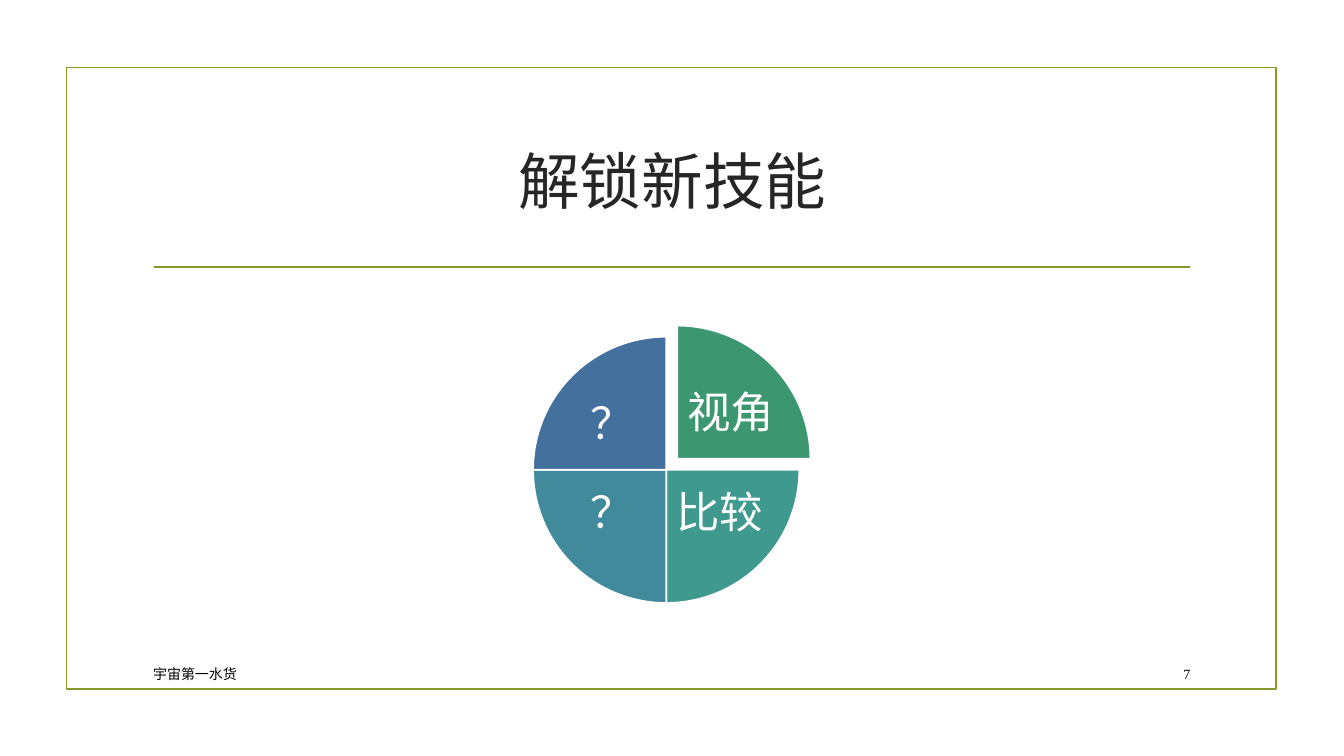
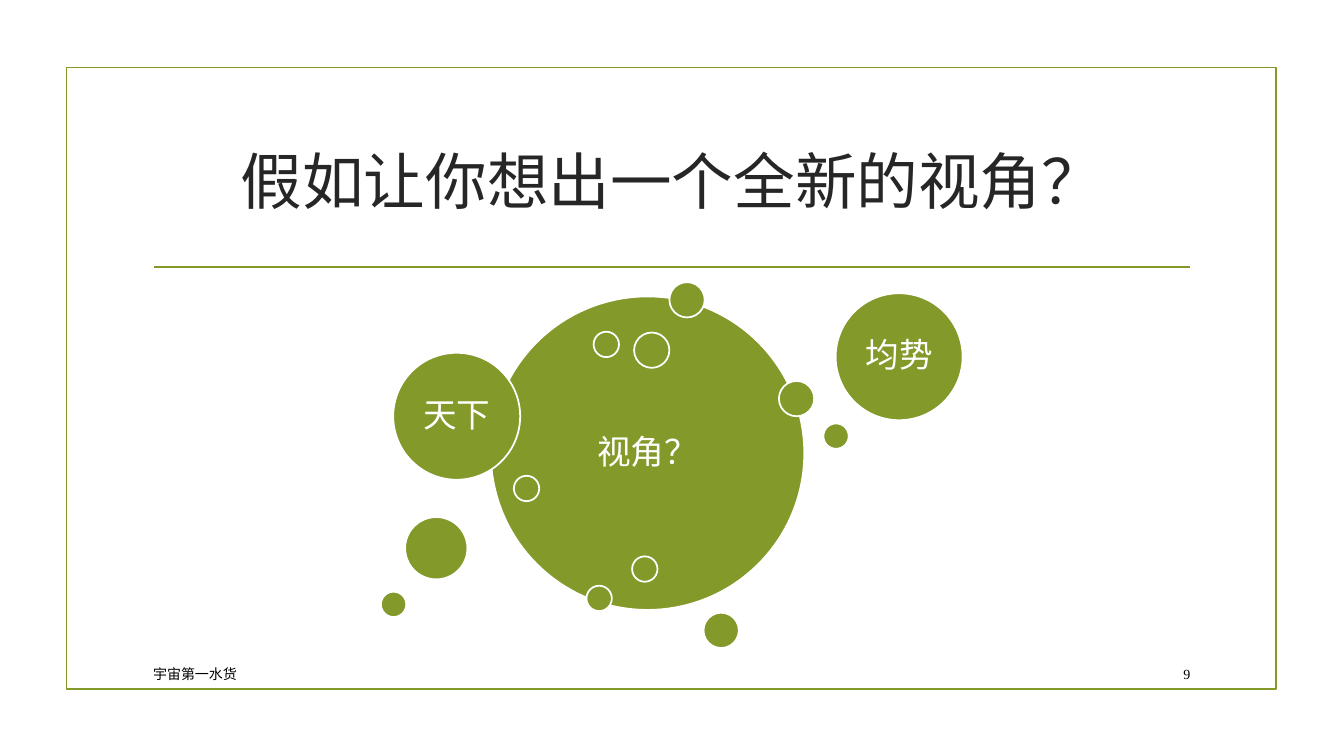
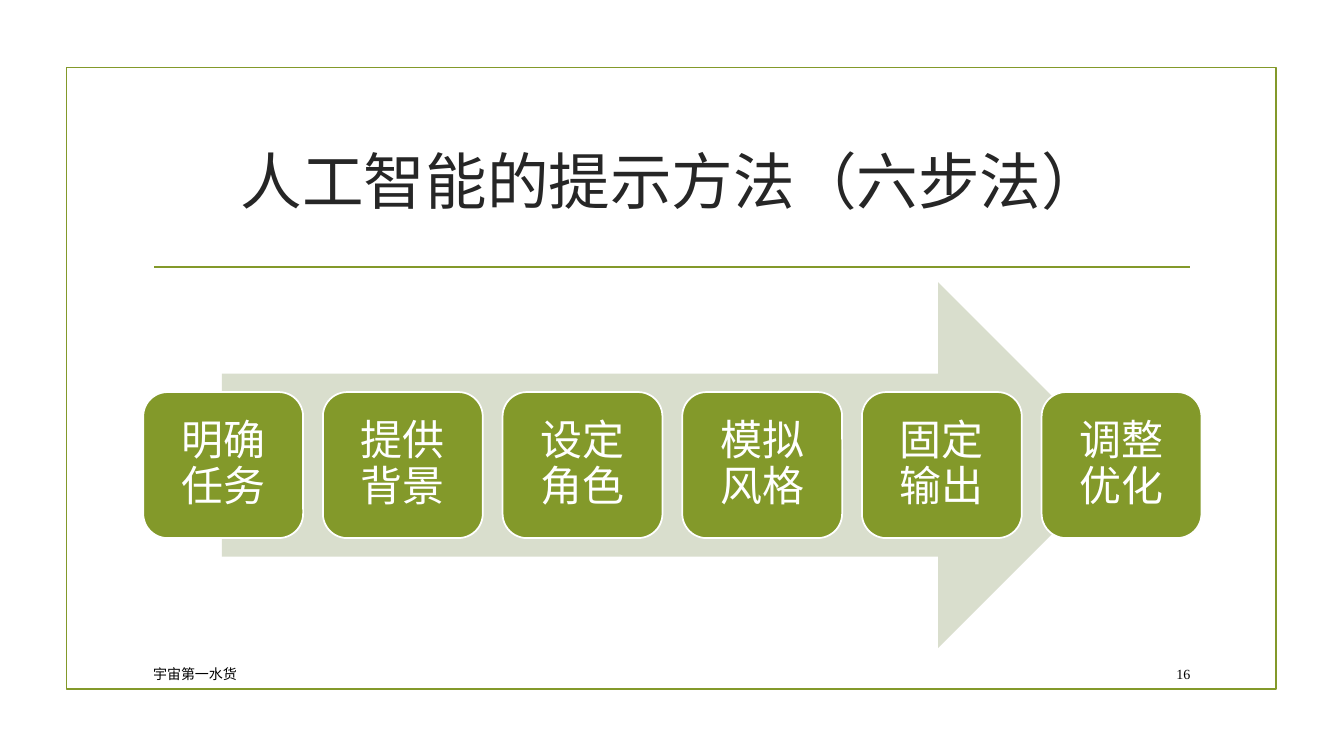
from lxml import etree
from pptx import Presentation
from pptx.dml.color import RGBColor
from pptx.enum.lang import MSO_LANGUAGE_ID
from pptx.enum.shapes import MSO_CONNECTOR, MSO_SHAPE
from pptx.enum.text import MSO_ANCHOR, MSO_AUTO_SIZE, PP_ALIGN
from pptx.oxml.ns import qn
from pptx.util import Cm, Pt

LEFT, CENTER, RIGHT = PP_ALIGN.LEFT, PP_ALIGN.CENTER, PP_ALIGN.RIGHT
MIDDLE, NO_FIT = MSO_ANCHOR.MIDDLE, MSO_AUTO_SIZE.NONE
RECT, ROUNDED, ELLIPSE = MSO_SHAPE.RECTANGLE, MSO_SHAPE.ROUNDED_RECTANGLE, MSO_SHAPE.OVAL
PIE, ARROW = MSO_SHAPE.PIE, MSO_SHAPE.RIGHT_ARROW
STRAIGHT = MSO_CONNECTOR.STRAIGHT
CHINESE = MSO_LANGUAGE_ID.SIMPLIFIED_CHINESE

FONT = "Times New Roman"
OLIVE, PALE, WHITE, DARK, BLACK = "83992A", "D9DECD", "FFFFFF", "262626", "000000"
LINE_WIDTH = 1.25

FRAME = (1.68, 1.7, 30.48, 15.67)
RULE = (3.89, 6.73, 30, 6.73)
TITLE = (3.61, 2.72, 26.67, 3.63)
FOOTER = (3.61, 16.59, 20.29, 0.79)
PAGE = (28.75, 16.59, 1.5, 0.79)
FOOTER_TEXT = "宇宙第一水货"

PIE_CENTER = (16.79, 11.84)
PIE_SIZE = 6.71
QUARTER, FULL_TURN = 54, 216
LABEL_SIZE = (2.46, 2.01)
LABEL_OFFSET = (1.35, 1.12)
SLICES = [
    ("视角", "3C9770", 162, 1, -1, 0.28),
    ("比较", "3F998E", 0, 1, 1, 0),
    ("？", "418A9B", 54, -1, 1, 0),
    ("？", "44709D", 108, -1, -1, 0),
]

TINY, SMALL, MEDIUM, LARGE, HUGE = 0.64, 0.89, 1.57, 3.2, 7.9
BUBBLES = [
    (12.37, 7.47, HUGE, "视角？"),
    (16.87, 7.11, SMALL, ""),
    (14.78, 14.76, TINY, ""),
    (20.75, 10.67, TINY, ""),
    (17.73, 15.44, SMALL, ""),
    (14.96, 8.36, TINY, ""),
    (12.95, 11.99, TINY, ""),
    (9.91, 8.89, LARGE, "天下"),
    (15.98, 8.38, SMALL, ""),
    (10.21, 13.03, MEDIUM, ""),
    (21.06, 7.39, LARGE, "均势"),
    (19.63, 9.6, SMALL, ""),
    (9.6, 14.91, TINY, ""),
    (15.93, 14.02, TINY, ""),
]

STEPS = ["明确任务", "提供背景", "设定角色", "模拟风格", "固定输出", "调整优化"]
STEP_TOP, STEP_WIDTH, STEP_HEIGHT = 9.88, 4.03, 3.68
STEP_ARROW = (5.59, 7.11, 22.66, 9.22)


def color(value):
    return RGBColor.from_string(value)


def assign(target, values):
    for key, value in values.items():
        setattr(target, key, value)


def write(holder, text, size, ink, align=CENTER, spacing=1.0, inset=None):
    frame = holder.text_frame
    frame.text = text
    assign(frame, {"word_wrap": True, "auto_size": NO_FIT, "vertical_anchor": MIDDLE})
    if inset is not None:
        sides = ("left", "top", "right", "bottom")
        assign(frame, {f"margin_{side}": Cm(inset) for side in sides})
    paragraph = frame.paragraphs[0]
    assign(paragraph, {"alignment": align, "line_spacing": spacing})
    font = paragraph.runs[0].font
    assign(font, {"name": FONT, "size": Pt(size), "language_id": CHINESE})
    font.color.rgb = color(ink)


def add_outline(part, ink):
    part.line.color.rgb = color(ink)
    part.line.width = Pt(LINE_WIDTH)


def add_part(slide, preset, box, fill=None, outline=WHITE):
    part = slide.shapes.add_shape(preset, *map(Cm, box))
    part.shadow.inherit = False
    if fill:
        part.fill.solid()
        part.fill.fore_color.rgb = color(fill)
    else:
        part.fill.background()
    if outline:
        add_outline(part, outline)
    else:
        part.line.fill.background()
    return part


def add_label(slide, box, text, size, ink, **style):
    write(slide.shapes.add_textbox(*map(Cm, box)), text, size, ink, **style)


def decorate_layout(layout, slide):
    for placeholder in list(layout.placeholders):
        if placeholder.placeholder_format.idx:
            layout.shapes.element.remove(placeholder.element)
    border = add_part(slide, RECT, FRAME, outline=OLIVE)
    rule = slide.shapes.add_connector(STRAIGHT, *map(Cm, RULE))
    add_outline(rule, OLIVE)
    etree.SubElement(rule.element.spPr, qn("a:effectLst"))
    for part in (border, rule):
        layout.shapes.element.append(part.element)


def draw_pie(slide):
    for text, fill, start, side_x, side_y, shift in SLICES:
        x, y = PIE_CENTER[0] + side_x * shift, PIE_CENTER[1] + side_y * shift
        box = (x - PIE_SIZE / 2, y - PIE_SIZE / 2, PIE_SIZE, PIE_SIZE)
        wedge = add_part(slide, PIE, box, fill)
        wedge.adjustments[0] = start
        wedge.adjustments[1] = (start + QUARTER) % FULL_TURN
        width, height = LABEL_SIZE
        left = x + side_x * LABEL_OFFSET[0] - width / 2
        top = y + side_y * LABEL_OFFSET[1] - height / 2
        add_label(slide, (left, top, width, height), text, 31, WHITE, spacing=0.9, inset=0.1)


def draw_bubbles(slide):
    for left, top, size, text in BUBBLES:
        bubble = add_part(slide, ELLIPSE, (left, top, size, size), OLIVE)
        if text:
            write(bubble, text, 24, WHITE, spacing=0.9, inset=0.25)


def draw_steps(slide):
    add_part(slide, ARROW, STEP_ARROW, PALE, outline=None)
    left, _, span, _ = TITLE
    pitch = (span - STEP_WIDTH) / (len(STEPS) - 1)
    for index, text in enumerate(STEPS):
        box = (left + index * pitch, STEP_TOP, STEP_WIDTH, STEP_HEIGHT)
        write(add_part(slide, ROUNDED, box, OLIVE), text, 30, WHITE, spacing=0.9, inset=0.3)


SLIDES = [
    ("解锁新技能", "7", draw_pie),
    ("假如让你想出一个全新的视角？", "9", draw_bubbles),
    ("人工智能的提示方法（六步法）", "16", draw_steps),
]


def main():
    deck = Presentation()
    assign(deck, {"slide_width": Cm(33.87), "slide_height": Cm(19.05)})
    layout = deck.slide_layouts[5]
    for index, (heading, page, draw) in enumerate(SLIDES):
        slide = deck.slides.add_slide(layout)
        if index == 0:
            decorate_layout(layout, slide)
        title = slide.shapes.title
        assign(title, dict(zip(("left", "top", "width", "height"), map(Cm, TITLE))))
        write(title, heading, 44, DARK)
        draw(slide)
        add_label(slide, FOOTER, FOOTER_TEXT, 10, BLACK, align=LEFT)
        add_label(slide, PAGE, page, 10, BLACK, align=RIGHT)
    deck.save("out.pptx")


if __name__ == "__main__":
    main()
